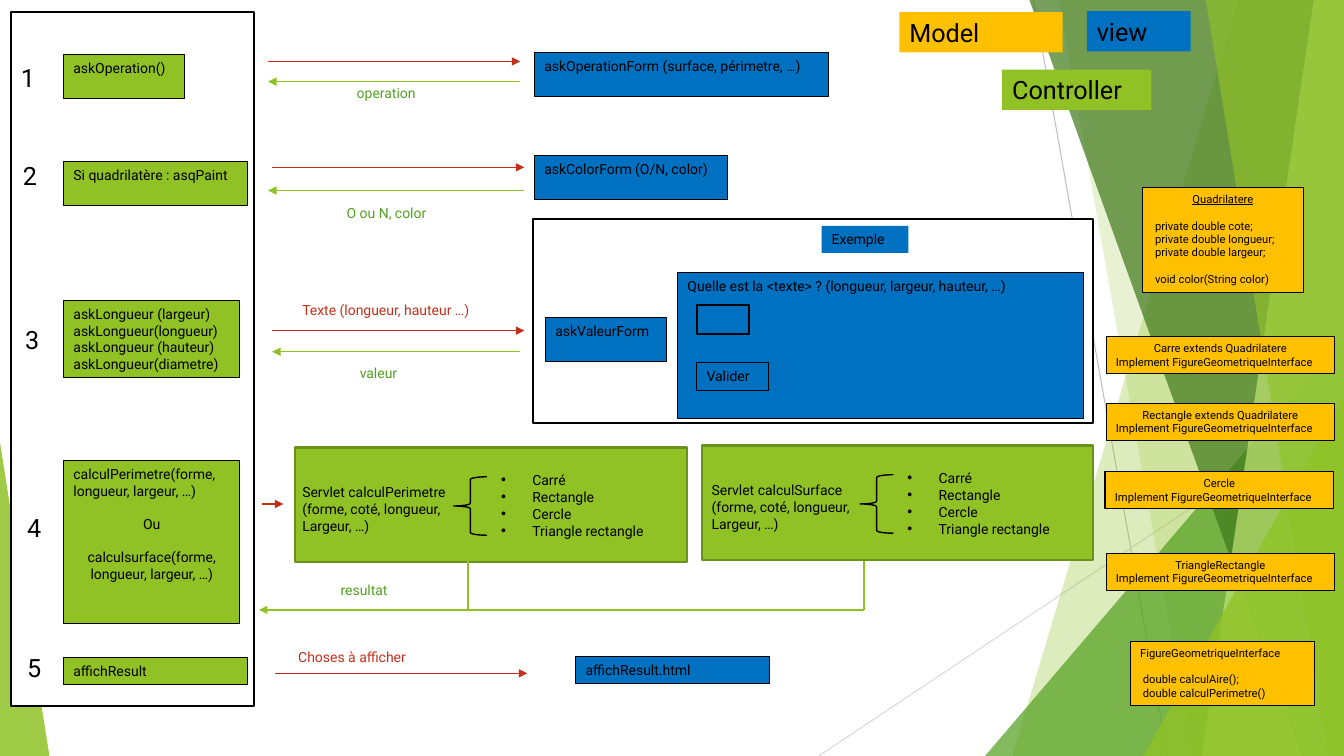
from dataclasses import dataclass

from lxml.etree import SubElement
from pptx import Presentation
from pptx.dml.color import RGBColor
from pptx.enum.shapes import MSO_CONNECTOR, MSO_SHAPE
from pptx.enum.text import MSO_ANCHOR, MSO_AUTO_SIZE, PP_ALIGN
from pptx.oxml.ns import qn
from pptx.util import Cm, Pt


@dataclass(frozen=True)
class Theme:
    font: str = "Roboto"
    black: str = "000000"
    white: str = "FFFFFF"
    model: str = "FFC000"
    view: str = "0070C0"
    controller: str = "90C226"
    panel_edge: str = "6B901C"
    request: str = "C42F1A"
    reply: str = "54A021"
    forest: str = "3F7819"
    lime: str = "C0E474"
    grey: str = "BFBFBF"
    pale_grey: str = "D9D9D9"
    heading: int = 18
    body: int = 10
    small: int = 8


@dataclass(frozen=True)
class Para:
    """One paragraph; gap counts the lines of space before it."""
    text: str
    centred: bool = False
    underline: bool = False
    gap: int = 0


T = Theme()
FIGURES = ["Carré", "Rectangle", "Cercle", "Triangle rectangle"]


def inch(value):
    return Cm(value * 2.54)


def rgb(code):
    return RGBColor.from_string(code)


def write(tf, lines, size=T.body, color=T.black):
    tf.word_wrap = True
    tf.auto_size = MSO_AUTO_SIZE.NONE
    tf.vertical_anchor = MSO_ANCHOR.TOP
    for i, line in enumerate(lines):
        para = line if isinstance(line, Para) else Para(line)
        p = tf.paragraphs[0] if i == 0 else tf.add_paragraph()
        p.alignment = PP_ALIGN.CENTER if para.centred else PP_ALIGN.LEFT
        p.space_before = Pt(para.gap * size * 1.17)
        r = p.add_run()
        r.text = para.text
        r.font.name, r.font.size = T.font, Pt(size)
        r.font.color.rgb = rgb(color)
        if para.underline:
            r.font.underline = True


def paint(sp, fill, edge=None, weight=0.75, alpha=None):
    sp.shadow.inherit = False
    if fill:
        sp.fill.solid()
        sp.fill.fore_color.rgb = rgb(fill)
    else:
        sp.fill.background()
    if alpha:
        clr = sp._element.spPr.find(qn("a:solidFill"))[0]
        SubElement(clr, qn("a:alpha"), val=str(alpha * 1000))
    if edge:
        sp.line.color.rgb = rgb(edge)
        sp.line.width = Pt(weight)
    else:
        sp.line.fill.background()


def shape(s, kind, at, fill, edge=None, weight=0.75, alpha=None):
    sp = s.shapes.add_shape(kind, *map(inch, at))
    paint(sp, fill, edge, weight, alpha)
    return sp


def box(s, at, fill, lines=(), edge=T.black, weight=0.75, size=T.body):
    sp = shape(s, MSO_SHAPE.RECTANGLE, at, fill, edge, weight)
    write(sp.text_frame, lines, size)


def label(s, at, lines, color=T.black, size=T.body):
    write(s.shapes.add_textbox(*map(inch, at)).text_frame, lines, size, color)


def line(s, start, end, color, weight=1, arrow=False):
    c = s.shapes.add_connector(MSO_CONNECTOR.STRAIGHT, *map(inch, start + end))
    c.line.color.rgb = rgb(color)
    c.line.width = Pt(weight)
    if arrow:
        SubElement(c.line._get_or_add_ln(), qn("a:tailEnd"), type="triangle")
    SubElement(c._element.spPr, qn("a:effectLst"))


def band(s, top_left, bottom_left, color, alpha):
    """Translucent strip running from a slanted left side to the right edge."""
    fb = s.shapes.build_freeform(inch(top_left), 0)
    corners = [(13.33, 0), (13.33, 7.5), (bottom_left, 7.5)]
    fb.add_line_segments([(inch(x), inch(y)) for x, y in corners], close=True)
    paint(fb.convert_to_shape(), color, alpha=alpha)


def wedge(s, at, color, alpha, apex):
    sp = shape(s, MSO_SHAPE.ISOSCELES_TRIANGLE, at, color, alpha=alpha)
    sp.adjustments[0] = apex


def backdrop(s):
    line(s, (10.25, 0), (11.58, 7.5), T.grey, 0.75)
    line(s, (13.33, 4.03), (8.12, 7.5), T.pale_grey, 0.75)
    band(s, 12.28, 10.04, T.controller, 30)
    band(s, 10.5, 11.83, T.controller, 20)
    wedge(s, (9.77, 3.33, 3.56, 4.17), T.reply, 72, 1)
    band(s, 10.21, 12.91, T.forest, 70)
    band(s, 13.03, 11.92, T.lime, 70)
    band(s, 11.96, 13.18, T.controller, 65)
    wedge(s, (11.34, 3.93, 1.99, 3.57), T.controller, 80, 1)
    wedge(s, (0, 4.39, 0.49, 3.11), T.controller, 85, 0)


def servlet_panel(s, left, top, name, label_left, figures):
    box(s, (left, top, 3.88, 1.14), T.controller, edge=T.panel_edge, weight=1.5)
    label(s, (label_left, top + 0.31, 2.89, 0.61),
          [f"Servlet {name}", "(forme, coté, longueur,", "Largeur, …)"])
    shape(s, MSO_SHAPE.LEFT_BRACE, (left + 1.57, top + 0.29, 0.33, 0.58), None, T.black, 1)
    s.shapes._spTree.append(figures._element)  # in front of the panel
    figures.left, figures.top = inch(left + 1.94), inch(top + 0.19)
    figures.width, figures.height = inch(2.4), inch(0.77)
    write(figures.text_frame, FIGURES)
    for p in figures.text_frame.paragraphs:
        pPr = p._p.get_or_add_pPr()
        pPr.set("marL", str(inch(0.31)))
        pPr.set("indent", str(-inch(0.31)))


def controller_steps(s):
    steps = [
        ((0.54, 1.2, 0.44), ["askOperation()"]),
        ((1.6, 1.83, 0.44), ["Si quadrilatère : asqPaint"]),
        ((2.98, 1.75, 0.77), ["askLongueur (largeur)", "askLongueur(longueur)",
                              "askLongueur (hauteur)", "askLongueur(diametre)"]),
        ((4.57, 1.75, 1.62), ["calculPerimetre(forme, longueur, largeur, …)",
                              Para("Ou", centred=True, gap=1),
                              Para("calculsurface(forme, longueur, largeur, …)",
                                   centred=True, gap=1)]),
        ((6.52, 1.83, 0.27), ["affichResult"]),
    ]
    numbers = [(0.11, 0.57), (0.13, 1.54), (0.15, 3.17), (0.17, 5.03), (0.17, 6.42)]
    for i, ((at, lines), (x, y)) in enumerate(zip(steps, numbers), 1):
        box(s, (0.63, *at), T.controller, lines)
        label(s, (x, y, 0.3, 0.4), [str(i)], size=T.heading)


def views(s):
    for at, text in [
        ((5.3, 0.52, 2.92, 0.44), "askOperationForm (surface, périmetre, …)"),
        ((5.3, 1.54, 1.92, 0.44), "askColorForm (O/N, color)"),
        ((5.41, 3.15, 1.2, 0.44), "askValeurForm"),
        ((6.72, 2.7, 4.03, 1.45), "Quelle est la <texte> ? (longueur, largeur, hauteur, …)"),
        ((6.91, 3.6, 0.71, 0.27), "Valider"),
        ((5.71, 6.51, 1.92, 0.27), "affichResult.html"),
    ]:
        box(s, at, T.view, [text])
    box(s, (6.91, 3.03, 0.52, 0.28), T.view, weight=1.5)
    box(s, (8.15, 2.24, 0.86, 0.27), T.view, ["Exemple"], edge=None)


def messages(s):
    for x1, x2, y in [(2.66, 5.16, 0.61), (2.7, 5.2, 1.66), (2.7, 5.2, 3.28),
                      (2.6, 2.81, 5), (2.73, 5.23, 6.68)]:
        line(s, (x1, y), (x2, y), T.request, arrow=True)
    for x1, x2, y in [(5.16, 2.66, 0.81), (5.2, 2.66, 1.89), (5.16, 2.7, 3.49),
                      (8.57, 2.57, 6.05)]:
        line(s, (x1, y), (x2, y), T.controller, arrow=True)
    for x in (4.64, 8.57):
        line(s, (x, 5.57), (x, 6.05), T.controller)
    for x, y, text in [(3.44, 0.79, "operation"), (3.34, 1.98, "O ou N, color"),
                       (3.47, 3.57, "valeur"), (3.28, 5.72, "resultat")]:
        label(s, (x, y, 1.4, 0.27), [text], T.reply)
    for x, y, text in [(2.9, 2.94, "Texte (longueur, hauteur …)"),
                       (2.86, 6.38, "Choses à afficher")]:
        label(s, (x, y, 2.17, 0.27), [text], T.request)


def models(s):
    box(s, (11.33, 1.86, 1.6, 1.04), T.model,
        [Para("Quadrilatere", centred=True, underline=True),
         Para(" private double cote;", gap=1), " private double longueur;",
         " private double largeur;", Para(" void color(String color)", gap=1)], size=T.small)
    for x, y, name in [(10.97, 3.34, "Carre extends Quadrilatere"),
                       (10.97, 4, "Rectangle extends Quadrilatere"),
                       (10.96, 4.68, "Cercle"), (10.97, 5.49, "TriangleRectangle")]:
        box(s, (x, y, 2.27, 0.37), T.model,
            [Para(name, centred=True), "Implement FigureGeometriqueInterface"], size=T.small)
    box(s, (11.21, 6.36, 1.83, 0.64), T.model,
        ["FigureGeometriqueInterface", Para(" double calculAire();", gap=1),
         " double calculPerimetre()"], size=T.small)


def legend(s):
    for at, fill, text in [((8.92, 0.12, 1.62, 0.4), T.model, "Model"),
                           ((10.78, 0.11, 1.03, 0.4), T.view, "view"),
                           ((9.94, 0.69, 1.48, 0.4), T.controller, "Controller")]:
        box(s, at, fill, [text], edge=None, size=T.heading)


def main():
    prs = Presentation()
    prs.slide_width, prs.slide_height = inch(13.33), inch(7.5)
    s = prs.slides.add_slide(prs.slide_layouts.get_by_name("Two Content"))
    title, perimeter_figures, surface_figures = list(s.placeholders)[:3]
    title._element.getparent().remove(title._element)
    backdrop(s)
    for at in [(0.11, 0.12, 2.41, 6.88), (5.29, 2.17, 5.55, 2.03)]:
        box(s, at, T.white, weight=1.5)
    servlet_panel(s, 6.96, 4.42, "calculSurface", 6.96, surface_figures)
    servlet_panel(s, 2.93, 4.44, "calculPerimetre", 2.9, perimeter_figures)
    controller_steps(s)
    views(s)
    messages(s)
    models(s)
    legend(s)
    prs.save("out.pptx")


if __name__ == "__main__":
    main()
